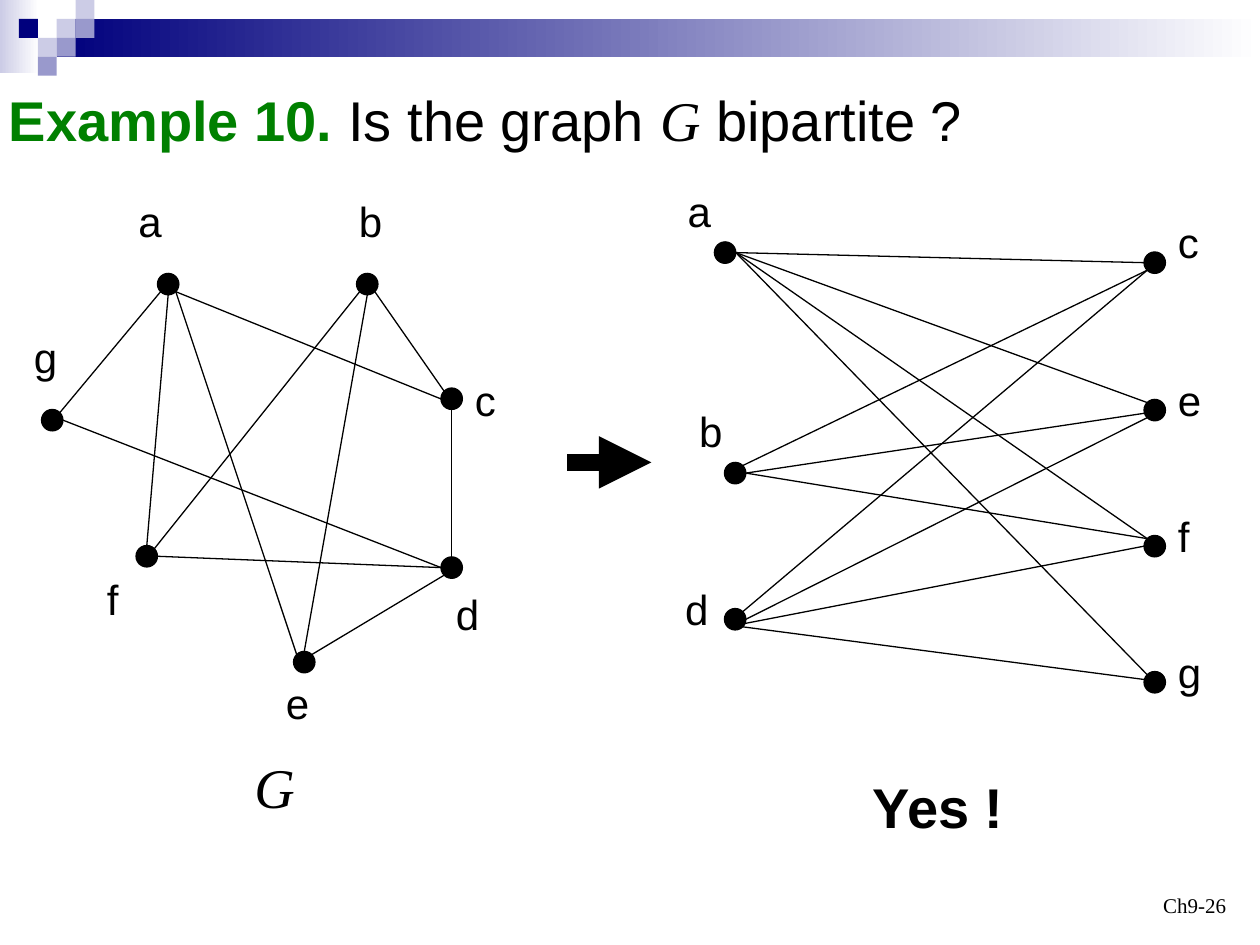
from math import cos, radians, sin

from lxml import etree
from pptx import Presentation
from pptx.dml.color import RGBColor
from pptx.enum.shapes import MSO_CONNECTOR, MSO_SHAPE
from pptx.enum.text import MSO_ANCHOR, PP_ALIGN
from pptx.oxml.ns import qn
from pptx.util import Inches, Pt

RECT, OVAL = MSO_SHAPE.RECTANGLE, MSO_SHAPE.OVAL
LINE = MSO_CONNECTOR.STRAIGHT
TOP, MIDDLE, BOTTOM = MSO_ANCHOR.TOP, MSO_ANCHOR.MIDDLE, MSO_ANCHOR.BOTTOM
LEFT, RIGHT = PP_ALIGN.LEFT, PP_ALIGN.RIGHT
SANS, SERIF = "Arial", "Times New Roman"
COLORS = {"ink": "000000", "green": "008000", "navy": "00007D",
          "pale": "CCCCE6", "mid": "9999CC", "white": "FFFFFF"}
DOT = 0.17
# Angle of each point on a dot's rim, clockwise from east
RIM = {name: 45 * i for i, name in
       enumerate(["E", "SE", "S", "SW", "W", "NW", "N", "NE"])}

# Each node: dot corner, label corner
LEFT_NODES = {
    "a": (1, 0.67, 0.75, 0), "b": (2.58, 0.67, 2.5, 0),
    "g": (0.08, 1.75, -0.08, 1.08), "f": (0.83, 2.83, 0.5, 3),
    "e": (2.08, 3.67, 1.92, 3.83), "d": (3.25, 2.92, 3.27, 3.12),
    "c": (3.25, 1.58, 3.42, 1.42)}
RIGHT_NODES = {
    "a": (0.42, 0.42, 0.11, -0.08), "b": (0.5, 2.17, 0.2, 1.67),
    "d": (0.5, 3.33, 0.09, 3.08), "c": (3.83, 0.5, 4, 0.17),
    "e": (3.83, 1.67, 4, 1.42), "f": (3.83, 2.75, 4, 2.5),
    "g": (3.83, 3.83, 4, 3.58)}
# Each edge: node and rim point at both ends
LEFT_EDGES = ["b.SE c.NW", "c.S d.N", "b.SW f.NE", "e.N b.S", "g.NE a.SW",
              "a.SE c.SE", "a.SE e.NW", "a.S f.N", "g.E d.W", "f.E d.W",
              "e.NE d.SW"]
RIGHT_EDGES = ["b.E f.NW", "e.E b.E", "g.NW a.E", "a.E c.W", "a.E e.NW",
               "a.E f.NW", "g.E d.SE", "f.W d.SW", "e.SW d.E", "b.NE c.SW",
               "c.SW d.NE"]


def rgb(name):
    return RGBColor.from_string(COLORS[name])


def add_block(slide, kind, x, y, w, h, color, fade=False):
    block = slide.shapes.add_shape(kind, Inches(x), Inches(y),
                                   Inches(w), Inches(h))
    block.shadow.inherit = False
    block.line.fill.background()
    if fade:
        block.fill.gradient()
        block.fill.gradient_angle = 0
        for stop, name in zip(block.fill.gradient_stops, (color, "white")):
            stop.color.rgb = rgb(name)
    else:
        block.fill.solid()
        block.fill.fore_color.rgb = rgb(color)
    return block


def add_line(slide, start, end, width=0.75):
    line = slide.shapes.add_connector(LINE, *map(Inches, (*start, *end)))
    line.line.color.rgb = rgb("ink")
    line.line.width = Pt(width)
    etree.SubElement(line._element.spPr, qn("a:effectLst"))
    return line


def add_text(slide, x, y, w, h, text, size, face=SANS, bold=False,
             italic=False, align=LEFT, anchor=TOP):
    box = slide.shapes.add_textbox(Inches(x), Inches(y), Inches(w), Inches(h))
    frame = box.text_frame
    frame.word_wrap = True
    frame.vertical_anchor = anchor
    para = frame.paragraphs[0]
    para.text = text
    para.alignment = align
    font = para.font
    font.name, font.size = face, Pt(size)
    font.bold, font.italic = bold, italic
    font.color.rgb = rgb("ink")
    return box


def add_header(slide, x, y):
    add_block(slide, RECT, x, y, 0.31, 0.58, "pale", fade=True)
    add_block(slide, RECT, x + 0.45, y + 0.15, 9.55, 0.3, "navy", fade=True)
    side = 0.15
    tiles = [(3, 1, "pale"), (4, 0, "pale"), (4, 1, "mid"), (2, 2, "pale"),
             (1, 1, "navy"), (3, 2, "mid"), (2, 3, "mid")]
    for col, row, color in tiles:
        add_block(slide, RECT, x + col * side, y + row * side,
                  side, side, color)


def add_title(slide, x, y, w, h):
    box = add_text(slide, x, y, w, h, "", 32, anchor=MIDDLE)
    box.text_frame.margin_left = 0
    para = box.text_frame.paragraphs[0]
    lead, ask, name, rest = [para.add_run() for _ in range(4)]
    lead.text, ask.text = "Example 10.", " Is the graph "
    name.text, rest.text = "G", " bipartite ?"
    lead.font.bold = True
    lead.font.color.rgb = rgb("green")
    name.font.name, name.font.italic = SERIF, True


def add_graph(slide, x, y, nodes, edges):
    def rim(end):
        node, side = end.split(".")
        left, top = nodes[node][:2]
        turn, half = radians(RIM[side]), DOT / 2
        return (x + left + half + half * cos(turn),
                y + top + half + half * sin(turn))

    for edge in edges:
        add_line(slide, *map(rim, edge.split()))
    for name, (left, top, tag_x, tag_y) in nodes.items():
        dot = add_block(slide, OVAL, x + left, y + top, DOT, DOT, "ink")
        dot.line.color.rgb = rgb("ink")
        dot.line.width = Pt(0.75)
        add_text(slide, x + tag_x, y + tag_y, 0.4, 0.5, name, 24)


def add_arrow(slide, x, y, w):
    arrow = add_line(slide, (x, y), (x + w, y), 10)
    etree.SubElement(arrow.line._get_or_add_ln(), qn("a:tailEnd"),
                     type="triangle")


def main():
    prs = Presentation()
    prs.slide_width, prs.slide_height = Inches(10), Inches(7.5)
    slide = prs.slides.add_slide(prs.slide_layouts[6])

    # Header and title
    add_header(slide, 0, 0)
    add_title(slide, 0.07, 0.57, 9, 0.75)

    # Graph and its two-sided form
    add_graph(slide, 0.25, 1.5, LEFT_NODES, LEFT_EDGES)
    add_text(slide, 1.92, 5.92, 0.55, 0.64, "G", 32, SERIF, italic=True)
    add_arrow(slide, 4.5, 3.67, 0.67)
    add_graph(slide, 5.25, 1.5, RIGHT_NODES, RIGHT_EDGES)
    add_text(slide, 6.83, 6.08, 1.4, 0.64, "Yes !", 32, bold=True)

    # Page number
    add_text(slide, 7.5, 6.83, 2.33, 0.5, "Ch9-26", 12, SERIF,
             align=RIGHT, anchor=BOTTOM)
    prs.save("out.pptx")


if __name__ == "__main__":
    main()
